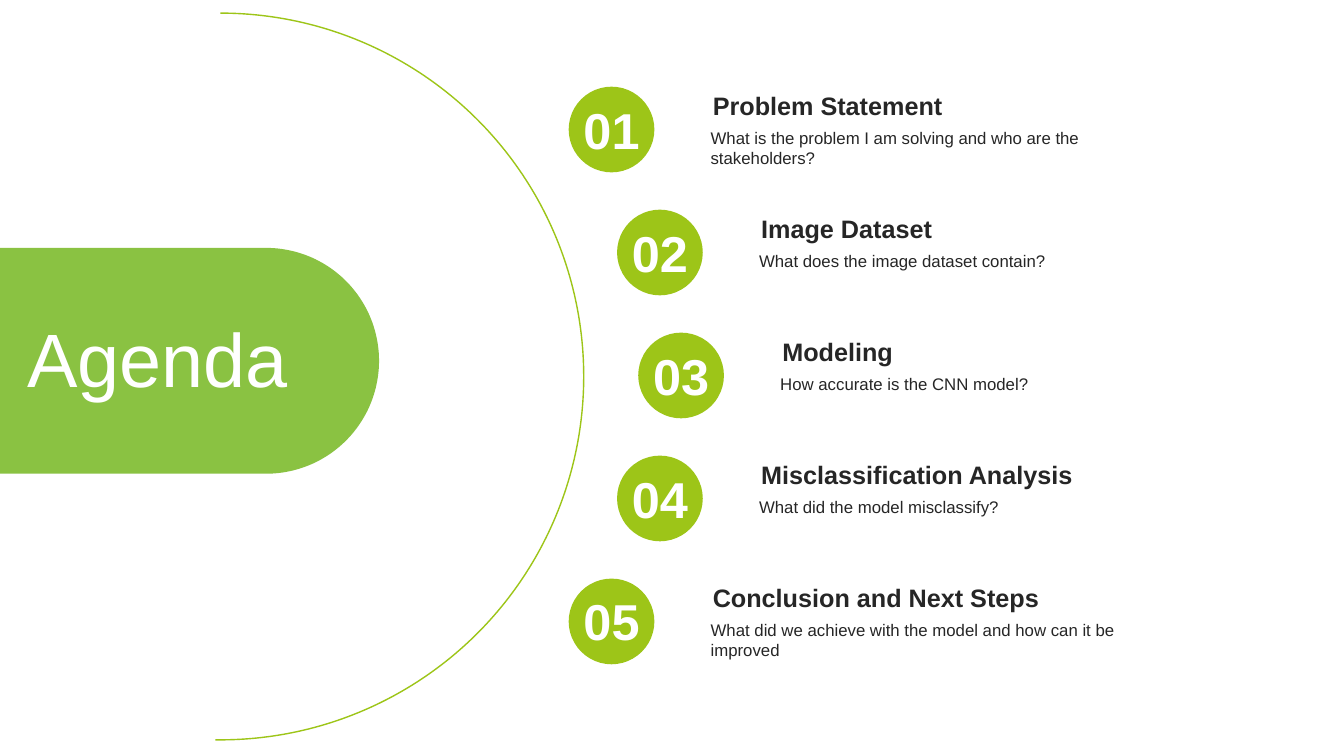
import math
from dataclasses import dataclass

import pptx
import pptx.dml.color
import pptx.enum.shapes
import pptx.enum.text
import pptx.oxml
import pptx.oxml.ns
import pptx.util

Inches = pptx.util.Inches
Shape = pptx.enum.shapes.MSO_SHAPE
Align = pptx.enum.text.PP_ALIGN
Anchor = pptx.enum.text.MSO_ANCHOR

LIME, GREEN, INK, WHITE = "9DC518", "79BA27", "262626", "FFFFFF"
STEP, MID = 1.22, 3.3
SIZE = 0.85


@dataclass
class Topic:
    left: float
    head: str
    note: str


@dataclass
class Style:
    size: float
    color: str
    bold: bool = False
    inset: float = 0.1
    align: Align = Align.LEFT
    anchor: Anchor = Anchor.TOP


NOTE = Style(12, INK)
HEAD = Style(18, INK, True, 0.12)
NUMBER = Style(36, WHITE, True, 0.12, Align.CENTER)
TITLE = Style(54, WHITE, anchor=Anchor.MIDDLE)

TOPICS = [
    Topic(5.64, "Problem Statement",
          "What is the problem I am solving and who are the stakeholders?"),
    Topic(6.12, "Image Dataset", "What does the image dataset contain?"),
    Topic(6.33, "Modeling", "How accurate is the CNN model?"),
    Topic(6.12, "Misclassification Analysis", "What did the model misclassify?"),
    Topic(5.64, "Conclusion and Next Steps",
          "What did we achieve with the model and how can it be improved"),
]


def color(code: str) -> pptx.dml.color.RGBColor:
    return pptx.dml.color.RGBColor.from_string(code)


def paint(shape, code: str) -> None:
    """Give a shape a solid fill with no line or shadow."""
    shape.shadow.inherit = False
    shape.fill.solid()
    shape.fill.fore_color.rgb = color(code)
    shape.line.fill.background()


def write(shapes, text: str, left: float, top: float, width: float,
          height: float, style: Style) -> None:
    box = shapes.add_textbox(*map(Inches, (left, top, width, height)))
    frame = box.text_frame
    frame.text = text
    frame.word_wrap = True
    frame.auto_size = pptx.enum.text.MSO_AUTO_SIZE.SHAPE_TO_FIT_TEXT
    frame.vertical_anchor = style.anchor
    frame.margin_left = frame.margin_right = Inches(style.inset)
    line = frame.paragraphs[0]
    line.alignment = style.align
    font = line.runs[0].font
    font.name = "Arial"
    font.size = pptx.util.Pt(style.size)
    font.bold = style.bold
    font.color.rgb = color(style.color)


def draw_arc(shapes) -> None:
    arc = shapes.add_shape(Shape.ARC, *map(Inches, (-1.42, 0.13, 7.21, 7.21)))
    arc.adjustments[0] = 162
    arc.adjustments[1] = 54.46
    arc.shadow.inherit = False
    arc.fill.background()
    arc.line.color.rgb = color(LIME)
    arc.line.width = pptx.util.Pt(1)


def draw_tab(shapes) -> None:
    """Draw the title's panel, square at the slide edge and round at the right."""
    top, radius, bend = 2.46, 1.12, 2.64
    curve = []
    for angle in range(-90, 91, 2):
        turn = math.radians(angle)
        curve.append((Inches(bend + radius * math.cos(turn)),
                      Inches(top + radius + radius * math.sin(turn))))
    form = shapes.build_freeform(0, Inches(top))
    form.add_line_segments(curve + [(0, Inches(top + 2 * radius))], close=True)
    tab = form.convert_to_shape()
    paint(tab, GREEN)
    tint = tab.fill._xPr.find(".//" + pptx.oxml.ns.qn("a:srgbClr"))
    tint.append(pptx.oxml.parse_xml(
        f'<a:alpha {pptx.oxml.ns.nsdecls("a")} val="87000"/>'))


def draw_topic(shapes, index: int, topic: Topic) -> None:
    left, top = topic.left, MID + STEP * (index - len(TOPICS) // 2)
    group = shapes.add_group_shape().shapes
    write(group, topic.note, left + 1.31, top + 0.36, 4.93, 0.3, NOTE)
    write(group, topic.head, left + 1.31, top - 0.01, 4.93, 0.4, HEAD)
    disc = group.add_shape(Shape.OVAL, *map(Inches, (left, top, SIZE, SIZE)))
    paint(disc, LIME)
    write(group, f"{index + 1:02}", left - 0.1, top + 0.07, 1.05, 0.71, NUMBER)


def main() -> None:
    deck = pptx.Presentation()
    deck.slide_width, deck.slide_height = Inches(13.33), Inches(7.5)
    shapes = deck.slides.add_slide(deck.slide_layouts[6]).shapes
    draw_arc(shapes)
    draw_tab(shapes)
    write(shapes, "Agenda", 0.17, 3.04, 3.58, 1.01, TITLE)
    for index, topic in enumerate(TOPICS):
        draw_topic(shapes, index, topic)
    deck.save("out.pptx")


if __name__ == "__main__":
    main()
